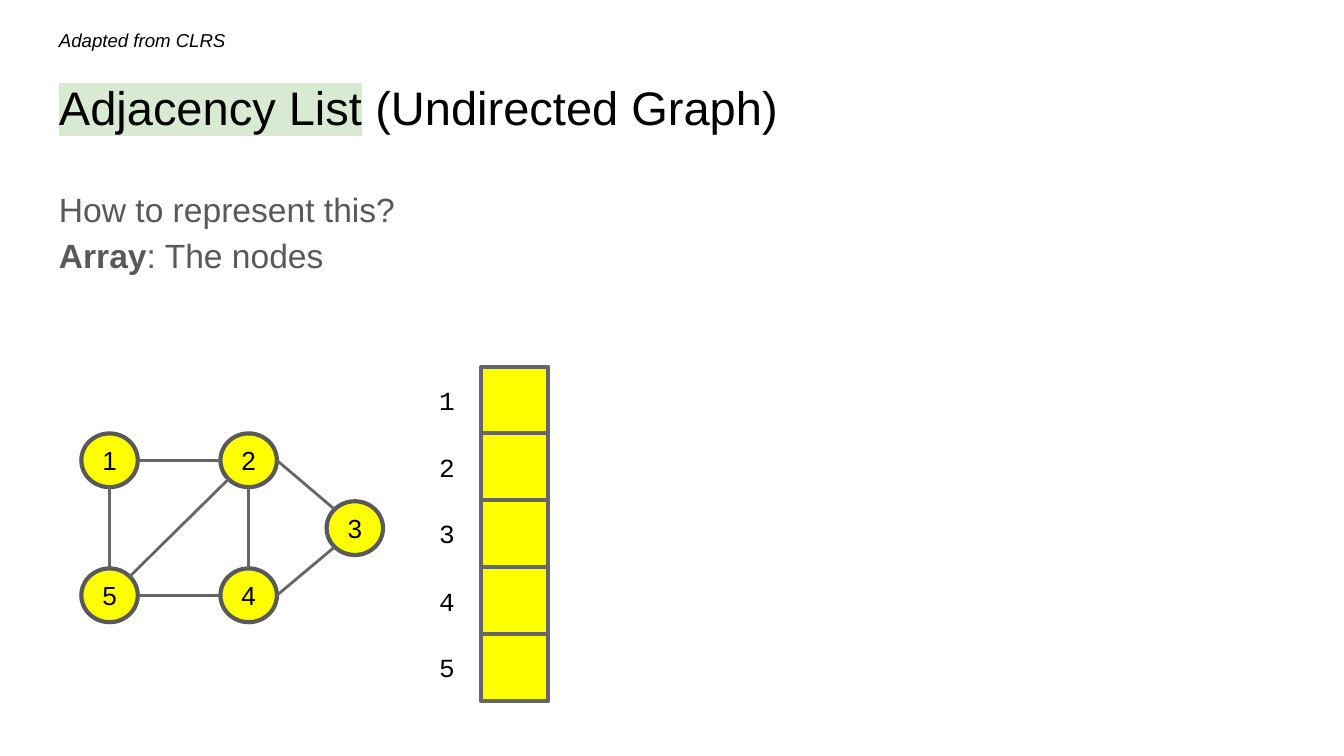
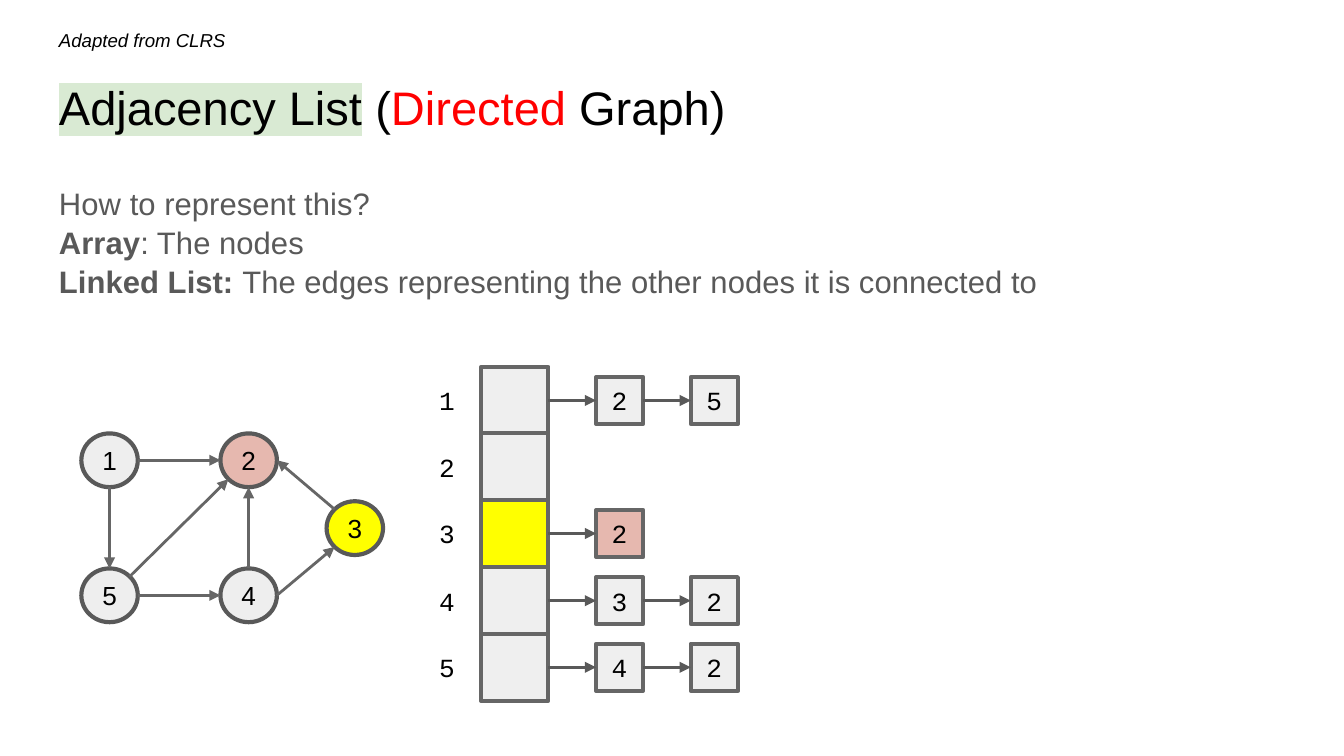
from dataclasses import dataclass
from math import sqrt
from typing import NamedTuple

from lxml import etree
from pptx import Presentation
from pptx import util as u
from pptx.dml.color import RGBColor
from pptx.enum import shapes, text
from pptx.oxml.ns import qn

EMU_PER_PX = 4572
SLIDE_WIDTH, SLIDE_HEIGHT = 2000, 1125
TEXT_INSET = 20
COLORS = {
    "black": "000000", "body": "595959", "line": "666666", "red": "FF0000",
    "mint": "D9EAD3", "yellow": "FFFF00", "pink": "E6B8AF",
    "node_gray": "EEEEEE", "cell_gray": "EFEFEF",
}
ARIAL = {"name": "Arial", "size": u.Pt(14)}
COURIER = {"name": "Courier New", "size": u.Pt(14)}
CAPTION = {"name": "Arial", "size": u.Pt(10), "italic": True}
TITLE = {"name": "Arial", "size": u.Pt(25.2)}

NODE_WIDTH, NODE_HEIGHT = 84, 80
NODE_CENTERS = {1: (163, 685), 2: (370, 685), 3: (528, 786), 4: (370, 886), 5: (163, 886)}
SIDES = {
    "N": (0, -1), "S": (0, 1), "W": (-1, 0), "E": (1, 0),
    "NE": (1, -1), "NW": (-1, -1), "SW": (-1, 1),
}
ARRAY_LEFT, ARRAY_TOP, CELL_SIZE = 716, 546, 100
ROW_PITCH = 99.2
INDEX_LEFT, INDEX_WIDTH = 616, 98
ITEM_LEFT, ITEM_SIZE, ITEM_PITCH = 887, 70, 141


class Box(NamedTuple):
    left: int
    top: int
    width: int
    height: int

    def emu(self) -> list:
        return [px(value) for value in self]


class Edge(NamedTuple):
    start: int
    start_side: str
    end: int
    end_side: str


class Span(NamedTuple):
    words: str
    color: str = "black"
    bold: bool = False
    highlight: str = ""


@dataclass(frozen=True)
class GraphSlide:
    title: list
    body: list
    body_size: float
    body_spacing: float
    node_fill: str
    cell_fill: str
    special_nodes: dict
    special_cells: dict
    neighbors: dict
    special_items: dict
    directed: bool


EDGES = [
    Edge(1, "E", 2, "W"), Edge(1, "S", 5, "N"), Edge(5, "NE", 2, "SW"),
    Edge(5, "E", 4, "W"), Edge(4, "N", 2, "S"), Edge(4, "E", 3, "SW"),
    Edge(3, "NW", 2, "E"),
]
TITLE_START = Span("Adjacency List", highlight="mint")
BODY_START = [
    Span("How to represent this?\n", "body"),
    Span("Array", "body", True),
]
SLIDES = [
    GraphSlide(
        title=[TITLE_START, Span(" (Undirected Graph)")],
        body=BODY_START + [Span(": The nodes", "body")],
        body_size=18, body_spacing=1.15,
        node_fill="yellow", cell_fill="yellow",
        special_nodes={}, special_cells={}, neighbors={}, special_items={},
        directed=False,
    ),
    GraphSlide(
        title=[TITLE_START, Span(" ("), Span("Directed", "red"), Span(" Graph)")],
        body=BODY_START + [
            Span(": The nodes \n", "body"),
            Span("Linked List: ", "body", True),
            Span("The edges representing the other nodes it is connected to", "body"),
        ],
        body_size=16.65, body_spacing=1.05,
        node_fill="node_gray", cell_fill="cell_gray",
        special_nodes={2: "pink", 3: "yellow"}, special_cells={3: "yellow"},
        neighbors={1: [2, 5], 3: [2], 4: [3, 2], 5: [4, 2]},
        special_items={3: "pink"}, directed=True,
    ),
]


def px(value: float) -> u.Emu:
    return u.Emu(round(value) * EMU_PER_PX)


def rgb(color: str) -> RGBColor:
    return RGBColor.from_string(COLORS[color])


def set_all(target, values: dict) -> None:
    for name, value in values.items():
        setattr(target, name, value)


def add_run(paragraph, words: str, span: Span, font: dict) -> None:
    run = paragraph.add_run()
    run.text = words
    set_all(run.font, {**font, "bold": span.bold})
    run.font.color.rgb = rgb(span.color)
    if span.highlight:
        highlight = etree.Element(qn("a:highlight"))
        etree.SubElement(highlight, qn("a:srgbClr"), val=COLORS[span.highlight])
        run._r.get_or_add_rPr().find(qn("a:latin")).addprevious(highlight)


def write(shape, spans: list, font: dict, inset: int = 0, centered: bool = True,
          layout: dict | None = None, grows: bool = False) -> None:
    frame = shape.text_frame
    margins = dict.fromkeys(
        ("margin_left", "margin_top", "margin_right", "margin_bottom"), px(inset))
    anchor = text.MSO_ANCHOR.MIDDLE if centered else text.MSO_ANCHOR.TOP
    set_all(frame, {**margins, "word_wrap": True, "vertical_anchor": anchor})
    if grows:
        frame.auto_size = text.MSO_AUTO_SIZE.SHAPE_TO_FIT_TEXT
    paragraph = frame.paragraphs[0]
    alignment = text.PP_ALIGN.CENTER if centered else text.PP_ALIGN.LEFT
    set_all(paragraph, {"alignment": alignment, **(layout or {})})
    for span in spans:
        for number, words in enumerate(span.words.split("\n")):
            if number:
                paragraph.add_line_break()
            if words:
                add_run(paragraph, words, span, font)


def add_text(slide, box: Box, spans: list, font: dict, **options) -> None:
    write(slide.shapes.add_textbox(*box.emu()), spans, font, **options)


def add_block(slide, kind, box: Box, fill: str, line: str, label: str = "",
              font: dict = COURIER) -> None:
    shape = slide.shapes.add_shape(kind, *box.emu())
    shape.shadow.inherit = False
    shape.fill.solid()
    shape.fill.fore_color.rgb = rgb(fill)
    shape.line.color.rgb = rgb(line)
    shape.line.width = u.Pt(2.25)
    if label:
        write(shape, [Span(label)], font)


def add_line(slide, start: tuple, end: tuple, color: str, arrow: bool) -> None:
    connector = slide.shapes.add_connector(
        shapes.MSO_CONNECTOR.STRAIGHT, *(px(value) for value in (*start, *end)))
    connector.line.color.rgb = rgb(color)
    connector.line.width = u.Pt(1.5)
    properties = connector.element.spPr
    if arrow:
        etree.SubElement(properties.find(qn("a:ln")), qn("a:tailEnd"), type="triangle")
    etree.SubElement(properties, qn("a:effectLst"))


def node_site(node: int, side: str) -> tuple:
    center_x, center_y = NODE_CENTERS[node]
    across, down = SIDES[side]
    reach = sqrt(across ** 2 + down ** 2)
    return (center_x + across * NODE_WIDTH / 2 / reach,
            center_y + down * NODE_HEIGHT / 2 / reach)


def draw_graph(slide, content: GraphSlide) -> None:
    for node, (center_x, center_y) in NODE_CENTERS.items():
        box = Box(center_x - NODE_WIDTH // 2, center_y - NODE_HEIGHT // 2,
                  NODE_WIDTH, NODE_HEIGHT)
        fill = content.special_nodes.get(node, content.node_fill)
        add_block(slide, shapes.MSO_SHAPE.OVAL, box, fill, "body", str(node), ARIAL)
    for edge in EDGES:
        add_line(slide, node_site(edge.start, edge.start_side),
                 node_site(edge.end, edge.end_side), "line", content.directed)


def draw_array(slide, content: GraphSlide) -> None:
    rectangle = shapes.MSO_SHAPE.RECTANGLE
    for row, node in enumerate(NODE_CENTERS):
        top = round(ARRAY_TOP + row * ROW_PITCH)
        middle = top + CELL_SIZE // 2
        add_block(slide, rectangle, Box(ARRAY_LEFT, top, CELL_SIZE, CELL_SIZE),
                  content.special_cells.get(node, content.cell_fill), "line")
        add_text(slide, Box(INDEX_LEFT, top, INDEX_WIDTH, CELL_SIZE),
                 [Span(str(node))], COURIER)
        link_start = ARRAY_LEFT + CELL_SIZE
        for column, neighbor in enumerate(content.neighbors.get(node, [])):
            left = ITEM_LEFT + column * ITEM_PITCH
            box = Box(left, middle - ITEM_SIZE // 2, ITEM_SIZE, ITEM_SIZE)
            add_block(slide, rectangle, box,
                      content.special_items.get(node, content.cell_fill),
                      "line", str(neighbor))
            add_line(slide, (link_start, middle), (left, middle), "body", True)
            link_start = left + ITEM_SIZE


def draw_slide(presentation, content: GraphSlide) -> None:
    slide = presentation.slides.add_slide(presentation.slide_layouts[6])
    add_text(slide, Box(68, 97, 1864, 126), content.title, TITLE,
             inset=TEXT_INSET, centered=False)
    draw_graph(slide, content)
    draw_array(slide, content)
    add_text(slide, Box(68, 26, 302, 58), [Span("Adapted from CLRS")], CAPTION,
             inset=TEXT_INSET, centered=False, grows=True)
    add_text(slide, Box(68, 252, 1864, 258), content.body,
             {"name": "Arial", "size": u.Pt(content.body_size)},
             inset=TEXT_INSET, centered=False,
             layout={"line_spacing": content.body_spacing, "space_after": u.Pt(12)})


def main() -> None:
    presentation = Presentation()
    set_all(presentation, {"slide_width": px(SLIDE_WIDTH),
                           "slide_height": px(SLIDE_HEIGHT)})
    for content in SLIDES:
        draw_slide(presentation, content)
    presentation.save("out.pptx")


if __name__ == "__main__":
    main()
